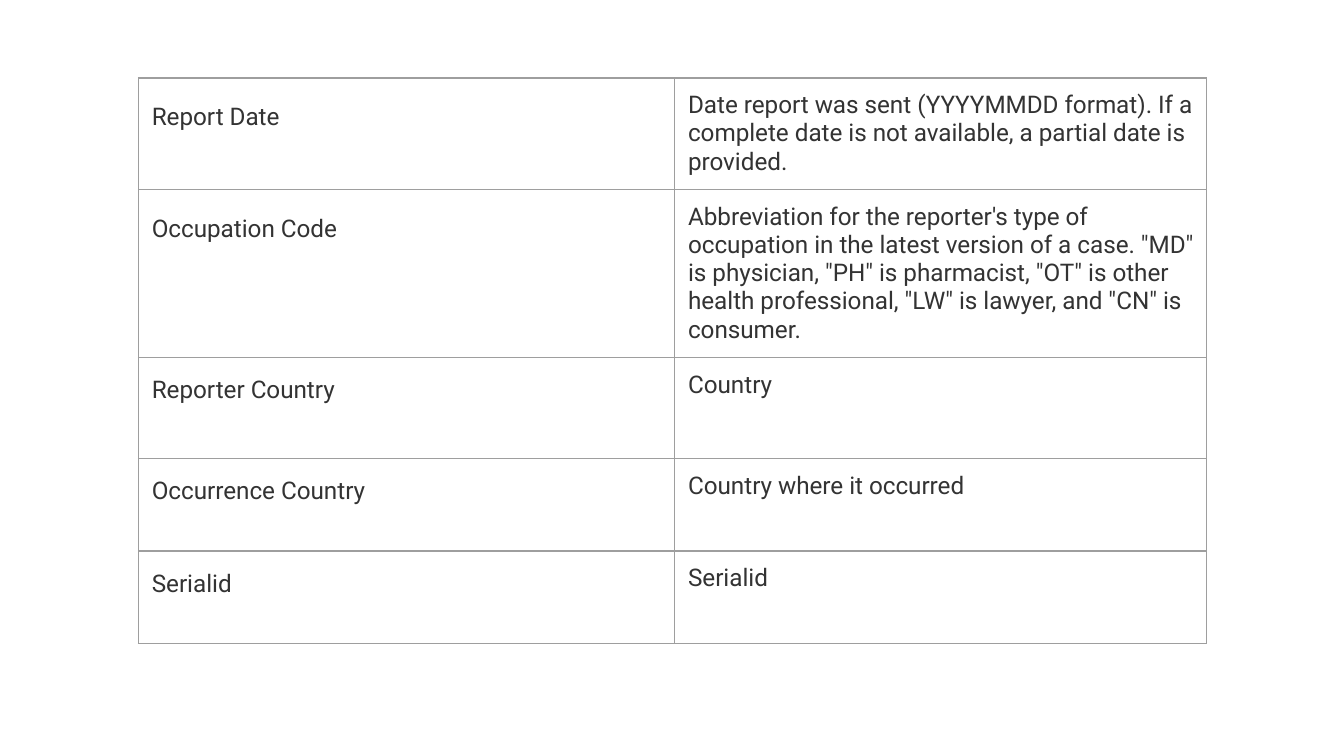
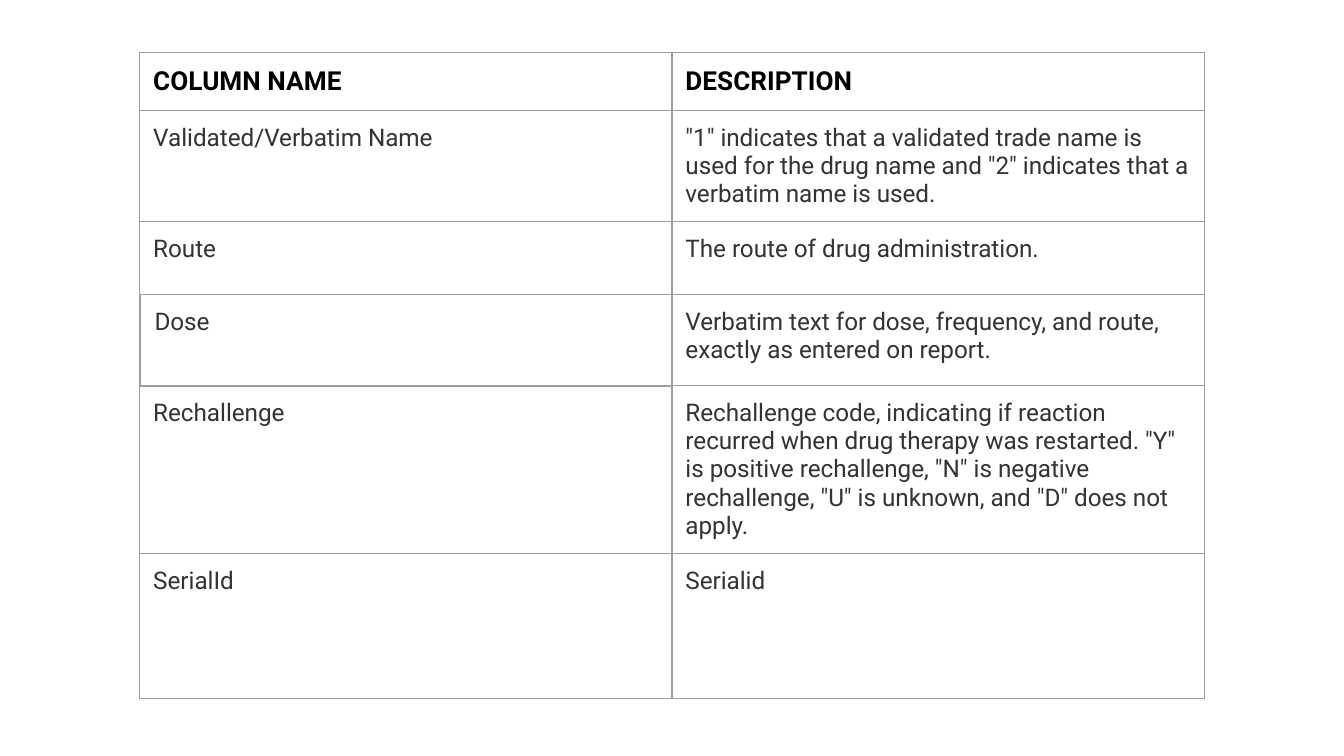
from dataclasses import dataclass

from lxml.etree import SubElement
from pptx import Presentation
from pptx.dml.color import RGBColor
from pptx.oxml.ns import qn
from pptx.util import Inches, Pt


@dataclass(frozen=True)
class Theme:
    font: str = "Roboto"
    heading: str = "000000"
    body: str = "333333"
    border: str = "9E9E9E"
    heading_size: float = 14
    body_size: float = 13
    thin: float = 0.75
    thick: float = 1
    inset: float = 0.1


@dataclass(frozen=True)
class Entry:
    """A table cell; heavy lists the edges (L, R, T, B) with a thick border."""
    text: str
    spacing: float | None = None
    heading: bool = False
    heavy: str = ""
    inset: float = Theme.inset
    indent: float = 0


def write(frame, text, *, font, size, color, bold=False, spacing=None):
    paragraph = frame.paragraphs[0]
    if spacing:
        paragraph.line_spacing = spacing
    run = paragraph.add_run()
    run.text = text
    run.font.name = font
    run.font.size = Pt(size)
    run.font.bold = bold
    run.font.color.rgb = RGBColor.from_string(color)


class Deck:
    def __init__(self, theme):
        self.theme = theme
        self.presentation = Presentation()
        self.presentation.slide_width = Inches(10)
        self.presentation.slide_height = Inches(10 * 9 / 16)
        self.slide = None

    def add_slide(self):
        self.slide = self.presentation.slides.add_slide(
            self.presentation.slide_layouts[6])

    def table(self, left, top, widths, heights, rows):
        table = self.slide.shapes.add_table(
            len(rows), len(widths), Inches(left), Inches(top),
            Inches(sum(widths)), Inches(sum(heights))).table
        table.first_row = table.horz_banding = False
        for column, width in zip(table.columns, widths):
            column.width = Inches(width)
        for row, height, entries in zip(table.rows, heights, rows):
            row.height = Inches(height)
            for cell, entry in zip(row.cells, entries):
                self.fill_cell(cell, entry)

    def fill_cell(self, cell, entry):
        theme = self.theme
        cell.margin_left = Inches(entry.inset + entry.indent)
        cell.margin_right = cell.margin_top = cell.margin_bottom = Inches(entry.inset)
        self.borders(cell, entry.heavy)
        cell.fill.background()
        write(cell.text_frame, entry.text, font=theme.font,
              size=theme.heading_size if entry.heading else theme.body_size,
              color=theme.heading if entry.heading else theme.body,
              bold=entry.heading, spacing=entry.spacing)

    def borders(self, cell, heavy):
        properties = cell._tc.get_or_add_tcPr()
        for edge in "LRTB":
            width = self.theme.thick if edge in heavy else self.theme.thin
            line = SubElement(properties, qn(f"a:ln{edge}"), w=str(Pt(width)))
            fill = SubElement(line, qn("a:solidFill"))
            SubElement(fill, qn("a:srgbClr"), val=self.theme.border)


REPORT_FIELDS = [
    (Entry("Report Date", spacing=1.42),
     Entry("Date report was sent (YYYYMMDD format). If a complete date is not "
           "available, a partial date is provided.")),
    (Entry("Occupation Code", spacing=1.42),
     Entry("Abbreviation for the reporter's type of occupation in the latest "
           'version of a case. "MD" is physician, "PH" is pharmacist, "OT" is '
           'other health professional, "LW" is lawyer, and "CN" is consumer.')),
    (Entry("Reporter Country", spacing=1.2), Entry("Country")),
    (Entry("Occurrence Country", spacing=1.2), Entry("Country where it occurred")),
    (Entry("Serialid", spacing=1.2), Entry("Serialid")),
]

DRUG_FIELDS = [
    (Entry("COLUMN NAME", heading=True), Entry("DESCRIPTION", heading=True)),
    (Entry("Validated/Verbatim Name"),
     Entry('"1" indicates that a validated trade name is used for the drug name '
           'and "2" indicates that a verbatim name is used.')),
    (Entry("Route", heavy="B"), Entry("The route of drug administration.")),
    (Entry("Dose", spacing=1.15, heavy="LRTB", inset=0.07, indent=0.04),
     Entry("Verbatim text for dose, frequency, and route, exactly as entered on "
           "report.", heavy="L")),
    (Entry("Rechallenge", heavy="TB"),
     Entry("Rechallenge code, indicating if reaction recurred when drug therapy "
           'was restarted. "Y" is positive rechallenge, "N" is negative '
           'rechallenge, "U" is unknown, and "D" does not apply.')),
    (Entry("SerialId", heavy="T"), Entry("Serialid")),
]


def main():
    deck = Deck(Theme())
    deck.add_slide()
    deck.table(1.03, 0.58, [3.99, 3.96], [0.69, 0.69, 0.75, 0.69, 0.69],
               REPORT_FIELDS)
    deck.add_slide()
    deck.table(1.04, 0.39, [3.96, 3.96], [0.4, 0.78, 0.54, 0.68, 1.18, 1.08],
               DRUG_FIELDS)
    deck.presentation.save("out.pptx")


if __name__ == "__main__":
    main()
